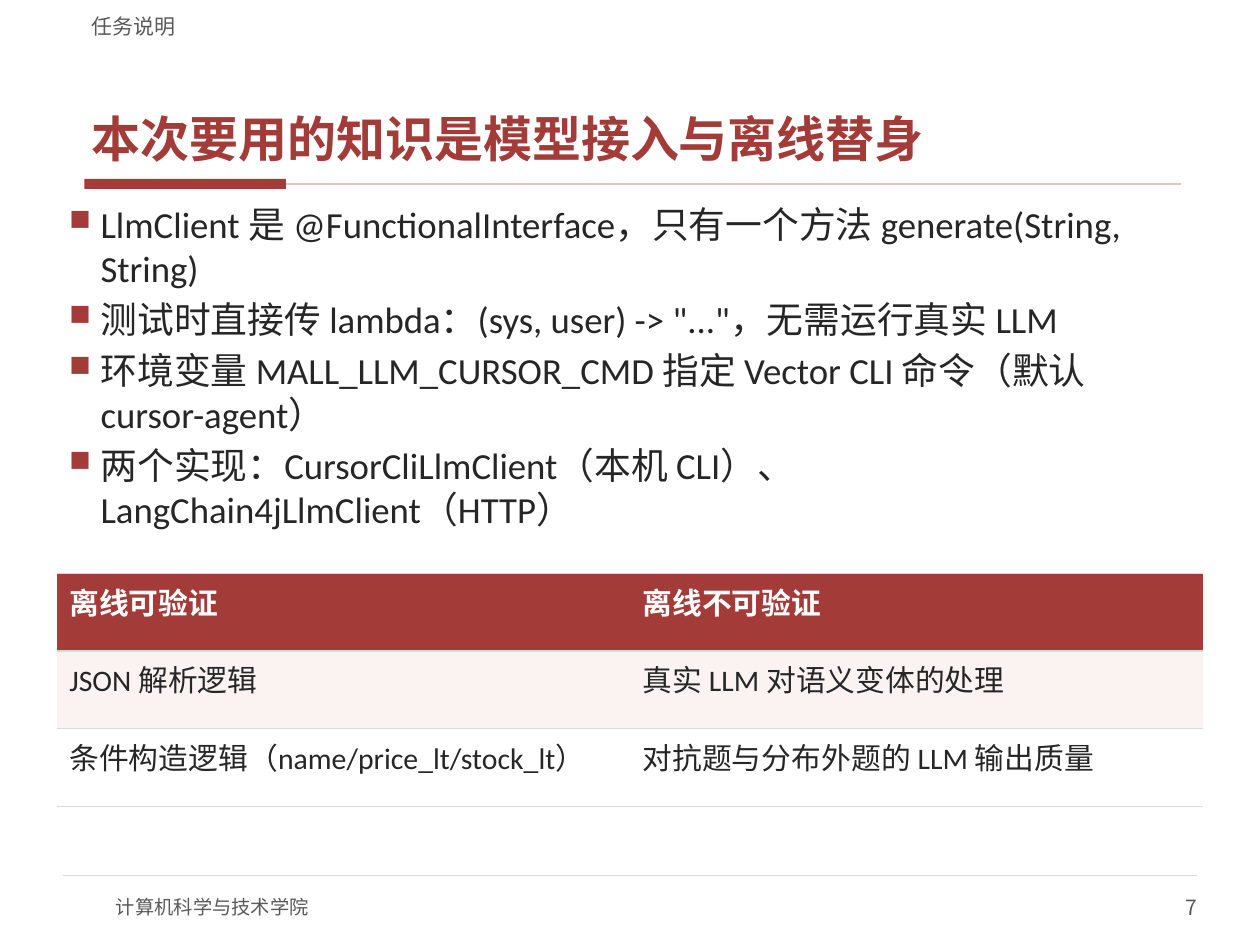
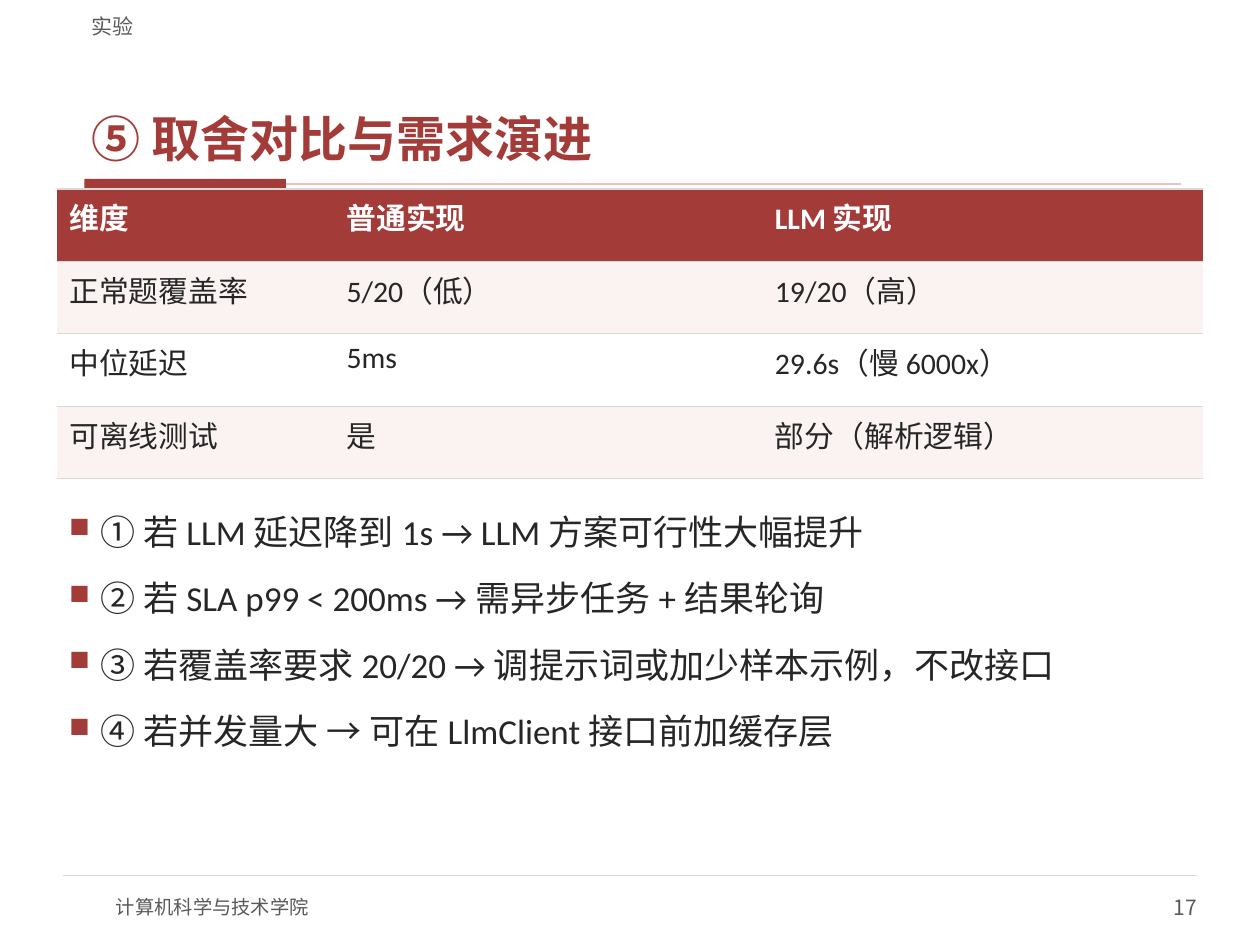
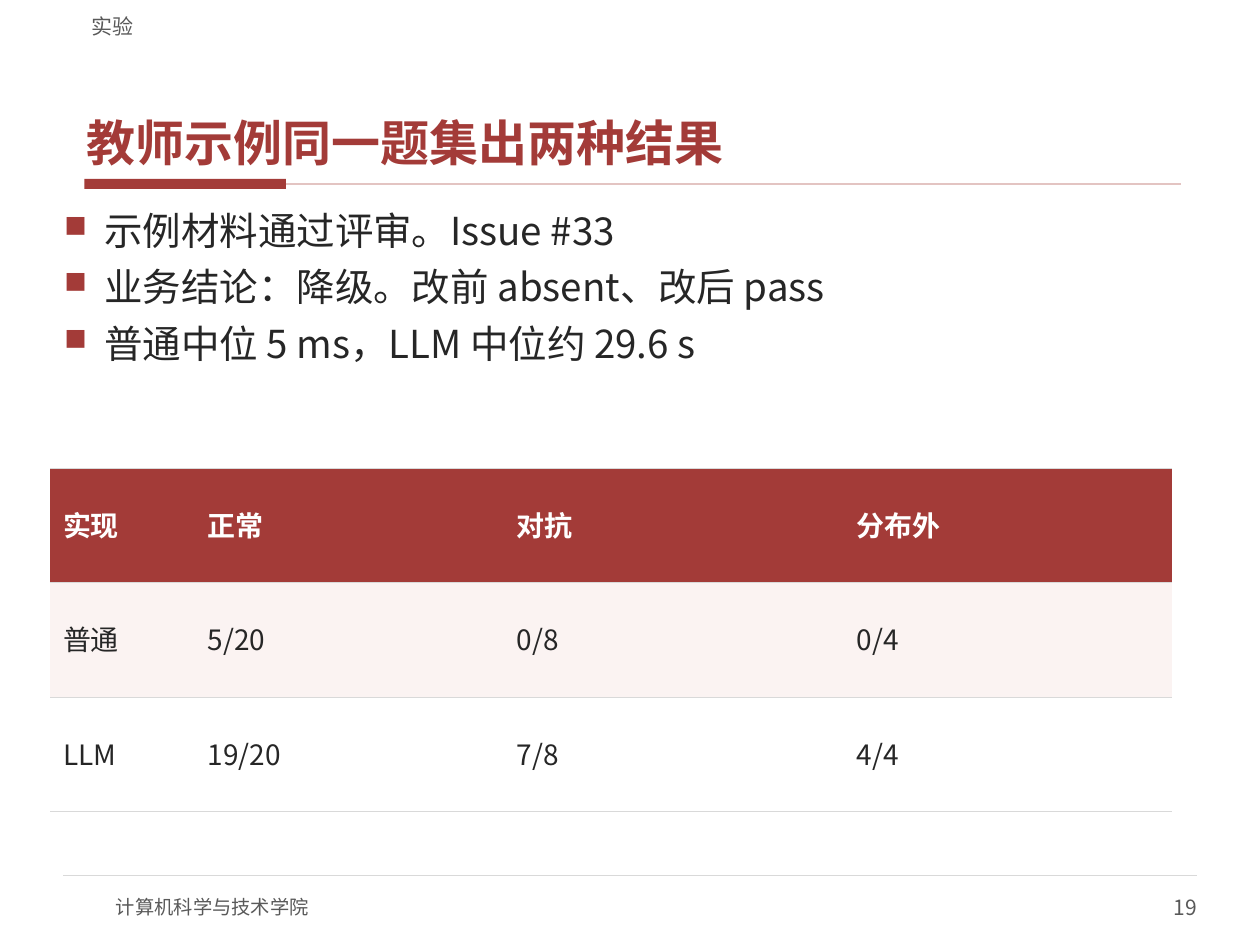
from dataclasses import dataclass
from typing import NamedTuple

from lxml.etree import SubElement
from pptx import Presentation
from pptx.dml.color import RGBColor
from pptx.enum.shapes import MSO_CONNECTOR as Connector, MSO_SHAPE as Shape
from pptx.enum.text import MSO_ANCHOR as Anchor, PP_ALIGN as Align
from pptx.oxml import parse_xml
from pptx.oxml.ns import nsdecls, qn
from pptx.util import Emu, Pt

EMU_PER_PX = 9144  # 100 px to the inch
RED, ROSE, BLUSH = "A33B38", "E3C4C2", "FBF3F2"
INK, GRAY, RULE, WHITE = "262626", "595959", "D9D9D9", "FFFFFF"
LATIN, HAN = "Calibri", "Noto Sans CJK SC"


class Box(NamedTuple):
    left: int
    top: int
    width: int
    height: int


class Inset(NamedTuple):
    x: int
    y: int


NORMAL, NARROW, NO_INSET = Inset(10, 5), Inset(6, 2), Inset(0, 0)


class TextStyle(NamedTuple):
    size: int
    color: str
    font: str = HAN
    bold: bool = False


class Spacing(NamedTuple):
    before: int = 0
    after: int = 0
    line: float = 1.0


@dataclass
class Title:
    text: str
    font: str = LATIN
    inset: Inset = NORMAL
    spacing: Spacing = Spacing(line=0.9)


@dataclass
class Bullets:
    box: Box
    items: list[str]
    size: int
    spacing: Spacing
    font: str = LATIN
    inset: Inset = NORMAL
    indent: int = 25


@dataclass
class Grid:
    left: int
    top: int
    height: int
    columns: list[int]
    rows: list[list[str]]
    size: int = 17
    font: str = LATIN
    anchor: Anchor = Anchor.TOP
    spacing: Spacing = Spacing()


@dataclass
class Page:
    number: int
    section: str
    title: Title
    bullets: Bullets
    grid: Grid


def px(length: int) -> Emu:
    return Emu(length * EMU_PER_PX)


def rgb(color: str) -> RGBColor:
    return RGBColor.from_string(color)


def style_paragraph(para, style: TextStyle, spacing: Spacing = Spacing(),
                    first: bool = True) -> None:
    para.line_spacing = spacing.line
    para.space_before = Pt(0 if first else spacing.before)
    para.space_after = Pt(spacing.after)
    for span in para.runs:
        font = span.font
        font.name, font.size, font.bold = style.font, Pt(style.size), style.bold
        font.color.rgb = rgb(style.color)
        SubElement(font._element, qn("a:ea"), typeface=HAN)


def add_text(slide, box: Box, text: str, style: TextStyle, inset: Inset = NO_INSET,
             anchor: Anchor = Anchor.MIDDLE, spacing: Spacing = Spacing()):
    """Add a text box with one styled paragraph per line; return its paragraphs."""
    frame = slide.shapes.add_textbox(*map(px, box)).text_frame
    frame.word_wrap = True
    frame.vertical_anchor = anchor
    frame.margin_left = frame.margin_right = px(inset.x)
    frame.margin_top = frame.margin_bottom = px(inset.y)
    frame.text = text
    for index, para in enumerate(frame.paragraphs):
        style_paragraph(para, style, spacing, index == 0)
    return frame.paragraphs


def add_rule(slide, left: int, right: int, y: int, color: str, width: float):
    line = slide.shapes.add_connector(Connector.STRAIGHT, px(left), px(y), px(right), px(y))
    line.line.color.rgb = rgb(color)
    line.line.width = Pt(width)
    SubElement(line._element.spPr, qn("a:effectLst"))
    return line


def add_furniture(slide, page: Page) -> None:
    """Draw the title, section label, accent line and footer every slide has."""
    bar = slide.shapes.add_shape(Shape.RECTANGLE, *map(px, Box(67, 142, 160, 8)))
    bar.shadow.inherit = False
    bar.fill.solid()
    bar.fill.fore_color.rgb = rgb(RED)
    bar.line.fill.background()
    add_rule(slide, 227, 937, 146, ROSE, 1).begin_connect(bar, 3)
    add_rule(slide, 50, 950, 695, RULE, 0.75)
    add_text(slide, Box(92, 700, 400, 40), "计算机科学与技术学院", TextStyle(11, GRAY))
    number, = add_text(slide, Box(750, 700, 200, 40), str(page.number), TextStyle(12, GRAY))
    number.alignment = Align.RIGHT
    title = page.title
    add_text(slide, Box(63, 33, 875, 105), title.text,
             TextStyle(28, RED, title.font, True), title.inset, Anchor.BOTTOM, title.spacing)
    add_text(slide, Box(63, 4, 875, 27), page.section, TextStyle(12, GRAY),
             Inset(10, 0), Anchor.BOTTOM)


def add_bullets(slide, bullets: Bullets) -> None:
    paras = add_text(slide, bullets.box, "\n".join(bullets.items),
                     TextStyle(bullets.size, INK, bullets.font),
                     bullets.inset, Anchor.TOP, bullets.spacing)
    for para in paras:
        props = para._p.get_or_add_pPr()
        props.set("marL", str(px(bullets.indent)))
        props.set("indent", str(-px(bullets.indent)))
        color = SubElement(props, qn("a:buClr"))
        SubElement(color, qn("a:srgbClr"), val=RED)
        SubElement(props, qn("a:buSzPct"), val="80000")
        SubElement(props, qn("a:buChar"), char="■")


def set_borders(cell) -> None:
    """Rule the cell above and below, and leave its sides open."""
    ruled = f'<a:solidFill><a:srgbClr val="{RULE}"/></a:solidFill>'
    sides = {"lnL": "<a:noFill/>", "lnR": "<a:noFill/>", "lnT": ruled, "lnB": ruled}
    props = cell._tc.get_or_add_tcPr()
    for index, (side, paint) in enumerate(sides.items()):
        props.insert(index, parse_xml(
            f'<a:{side} {nsdecls("a")} w="{Pt(0.75)}">{paint}</a:{side}>'))


def add_grid(slide, grid: Grid) -> None:
    box = Box(grid.left, grid.top, sum(grid.columns), grid.height)
    table = slide.shapes.add_table(len(grid.rows), len(grid.columns), *map(px, box)).table
    table.horz_banding = False
    for column, width in zip(table.columns, grid.columns):
        column.width = px(width)
    for index, (row, texts) in enumerate(zip(table.rows, grid.rows)):
        header = index == 0
        fill = RED if header else BLUSH if index % 2 else WHITE
        style = TextStyle(grid.size, WHITE if header else INK, grid.font, header)
        for cell, text in zip(row.cells, texts):
            cell.text_frame.text = text
            cell.vertical_anchor = grid.anchor
            cell.fill.solid()
            cell.fill.fore_color.rgb = rgb(fill)
            set_borders(cell)
            style_paragraph(cell.text_frame.paragraphs[0], style, grid.spacing)


PAGES = [
    Page(
        7, "任务说明", Title("本次要用的知识是模型接入与离线替身"),
        Bullets(Box(45, 155, 900, 280), [
            "LlmClient 是 @FunctionalInterface，只有一个方法 generate(String, String)",
            "测试时直接传 lambda：(sys, user) -> \"...\"，无需运行真实 LLM",
            "环境变量 MALL_LLM_CURSOR_CMD 指定 Vector CLI 命令（默认 cursor-agent）",
            "两个实现：CursorCliLlmClient（本机 CLI）、\vLangChain4jLlmClient（HTTP）",
        ], 21, Spacing(before=4)),
        Grid(45, 455, 185, [455, 455], [
            ["离线可验证", "离线不可验证"],
            ["JSON 解析逻辑", "真实 LLM 对语义变体的处理"],
            ["条件构造逻辑（name/price_lt/stock_lt）", "对抗题与分布外题的 LLM 输出质量"],
        ]),
    ),
    Page(
        17, "实验", Title("⑤ 取舍对比与需求演进"),
        Bullets(Box(45, 400, 900, 230), [
            "① 若 LLM 延迟降到 1s → LLM 方案可行性大幅提升",
            "② 若 SLA p99 < 200ms → 需异步任务 + 结果轮询",
            "③ 若覆盖率要求 20/20 → 调提示词或加少样本示例，不改接口",
            "④ 若并发量大 → 可在 LlmClient 接口前加缓存层",
        ], 20, Spacing(before=14)),
        Grid(45, 150, 230, [220, 340, 350], [
            ["维度", "普通实现", "LLM 实现"],
            ["正常题覆盖率", "5/20（低）", "19/20（高）"],
            ["中位延迟", "5ms", "29.6s（慢 6000x）"],
            ["可离线测试", "是", "部分（解析逻辑）"],
        ]),
    ),
    Page(
        19, "实验",
        Title("教师示例同一题集出两种结果", HAN, NARROW, Spacing(after=2)),
        Bullets(Box(45, 162, 910, 202), [
            "示例材料通过评审。Issue #33",
            "业务结论：降级。改前 absent、改后 pass",
            "普通中位 5 ms，LLM 中位约 29.6 s",
        ], 22, Spacing(before=4, after=2), HAN, NARROW, 32),
        Grid(40, 372, 272, [115, 245, 270, 260], [
            ["实现", "正常", "对抗", "分布外"],
            ["普通", "5/20", "0/8", "0/4"],
            ["LLM", "19/20", "7/8", "4/4"],
        ], 16, HAN, Anchor.MIDDLE, Spacing(after=2, line=0.9)),
    ),
]


def main() -> None:
    deck = Presentation()
    deck.slide_width, deck.slide_height = px(1000), px(750)
    for page in PAGES:
        slide = deck.slides.add_slide(deck.slide_layouts[6])
        add_furniture(slide, page)
        add_bullets(slide, page.bullets)
        add_grid(slide, page.grid)
    deck.save("out.pptx")


if __name__ == "__main__":
    main()
